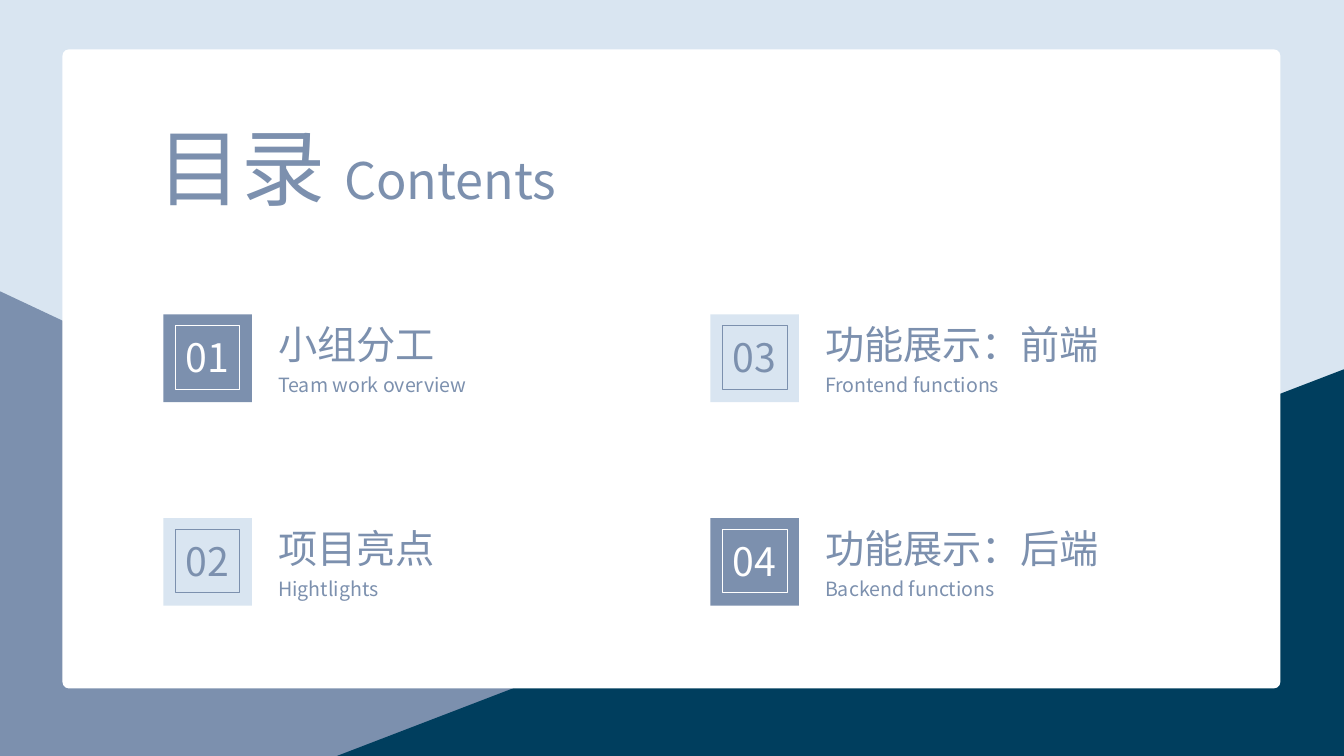
"""Build a contents slide with four numbered topics on a white card."""
from lxml import etree
from pptx import Presentation
from pptx.dml import color
from pptx.enum import shapes, text
from pptx.oxml import ns
from pptx.util import Inches, Pt

WIDTH, HEIGHT = Inches(13.33), Inches(7.5)
FONT = "Noto Sans CJK SC"
COLORS = {"pale": "D9E5F1", "slate": "7C90AE", "navy": "003E5E", "white": "FFFFFF"}
KINDS = shapes.MSO_SHAPE
LEFT, TOP, COLUMN_STEP, ROW_STEP = 12.15, 41.6, 40.7, 26.93
TOPICS = [
    ("小组分工", "Team work overview"),
    ("项目亮点", "Hightlights"),
    ("功能展示：前端", "Frontend functions"),
    ("功能展示：后端", "Backend functions"),
]


def rgb(name):
    return color.RGBColor.from_string(COLORS[name])


def apply(target, values):
    for name, value in values.items():
        setattr(target, name, value)


def area(left, top, width, height):
    """Turn percentages of the slide into lengths."""
    shares = ((left, WIDTH), (top, HEIGHT), (width, WIDTH), (height, HEIGHT))
    return [round(share * whole / 100) for share, whole in shares]


def add_block(page, kind, place, fill=None, line=None, adjust=None, rotation=0):
    block = page.shapes.add_shape(kind, *area(*place))
    block.shadow.inherit = False
    block.rotation = rotation
    if adjust is not None:
        block.adjustments[0] = adjust
    if fill:
        block.fill.solid()
        block.fill.fore_color.rgb = rgb(fill)
    else:
        block.fill.background()
    if line:
        block.line.color.rgb = rgb(line)
        block.line.width = Pt(0.5)
    else:
        block.line.fill.background()


def write(box, spans, tint="slate", align=text.PP_ALIGN.LEFT, wrap=True):
    """Fill a box with one paragraph of (wording, size) spans."""
    apply(box.text_frame, {
        "word_wrap": wrap,
        "auto_size": text.MSO_AUTO_SIZE.SHAPE_TO_FIT_TEXT,
        "vertical_anchor": text.MSO_ANCHOR.TOP,
    })
    para = box.text_frame.paragraphs[0]
    para.alignment = align
    for wording, size in spans:
        span = para.add_run()
        span.text = wording
        apply(span.font, {"name": FONT, "size": Pt(size)})
        span.font.color.rgb = rgb(tint)
        latin = span.font._element.find(ns.qn("a:latin"))
        latin.addnext(etree.Element(ns.qn("a:ea"), typeface=FONT))


def add_label(page, place, wording, size, **options):
    box = page.shapes.add_textbox(*area(*place))
    write(box, [(wording, size)], **options)


def add_title(page):
    title = page.shapes.title
    names = ("left", "top", "width", "height")
    apply(title, dict(zip(names, area(10.95, 14.67, 33.76, 14.8))))
    write(title, [("目录 ", 60), ("Contents", 36)])


def add_backdrop(page):
    page.background.fill.solid()
    page.background.fill.fore_color.rgb = rgb("pale")
    triangle = KINDS.ISOSCELES_TRIANGLE
    add_block(page, triangle, (0, 38.53, 73.6, 61.47), "slate", adjust=0)
    add_block(page, triangle, (48.16, 7.73, 28.81, 133.33), "navy", adjust=0, rotation=270)
    add_block(page, KINDS.ROUNDED_RECTANGLE, (4.65, 6.53, 90.62, 84.53), "white", adjust=0.01)


def add_topic(page, index, heading, subtitle):
    column, row = divmod(index, 2)
    left, top = LEFT + column * COLUMN_STEP, TOP + row * ROW_STEP
    fill, ink = ("slate", "white") if column == row else ("pale", "slate")
    add_block(page, KINDS.RECTANGLE, (left, top, 6.6, 11.6), fill)
    add_label(page, (left + 0.83, top + 1.9, 4.95, 7.6), f"{index + 1:02}", 28,
              tint=ink, align=text.PP_ALIGN.CENTER, wrap=False)
    add_block(page, KINDS.RECTANGLE, (left + 0.9, top + 1.47, 4.8, 8.4), line=ink)
    add_label(page, (left + 7.8, top + 0.13, 26.5, 7.6), heading, 28)
    add_label(page, (left + 7.8, top + 7.1, 15.75, 4.53), subtitle, 14)


def main():
    deck = Presentation()
    apply(deck, {"slide_width": WIDTH, "slide_height": HEIGHT})
    page = deck.slides.add_slide(deck.slide_layouts.get_by_name("Title Only"))
    add_backdrop(page)
    add_title(page)
    tree = page.shapes._spTree
    tree.append(page.shapes.title._element)
    for index, topic in enumerate(TOPICS):
        add_topic(page, index, *topic)
    deck.save("out.pptx")


if __name__ == "__main__":
    main()
